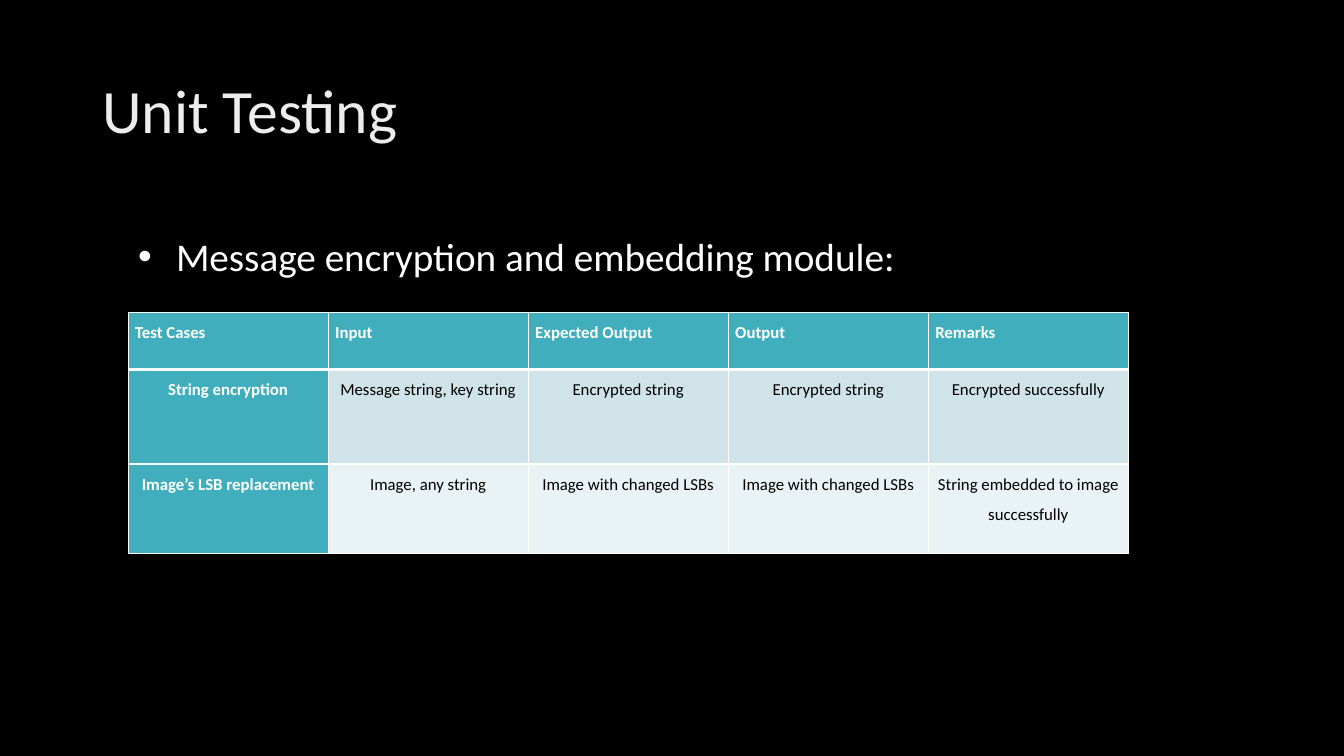
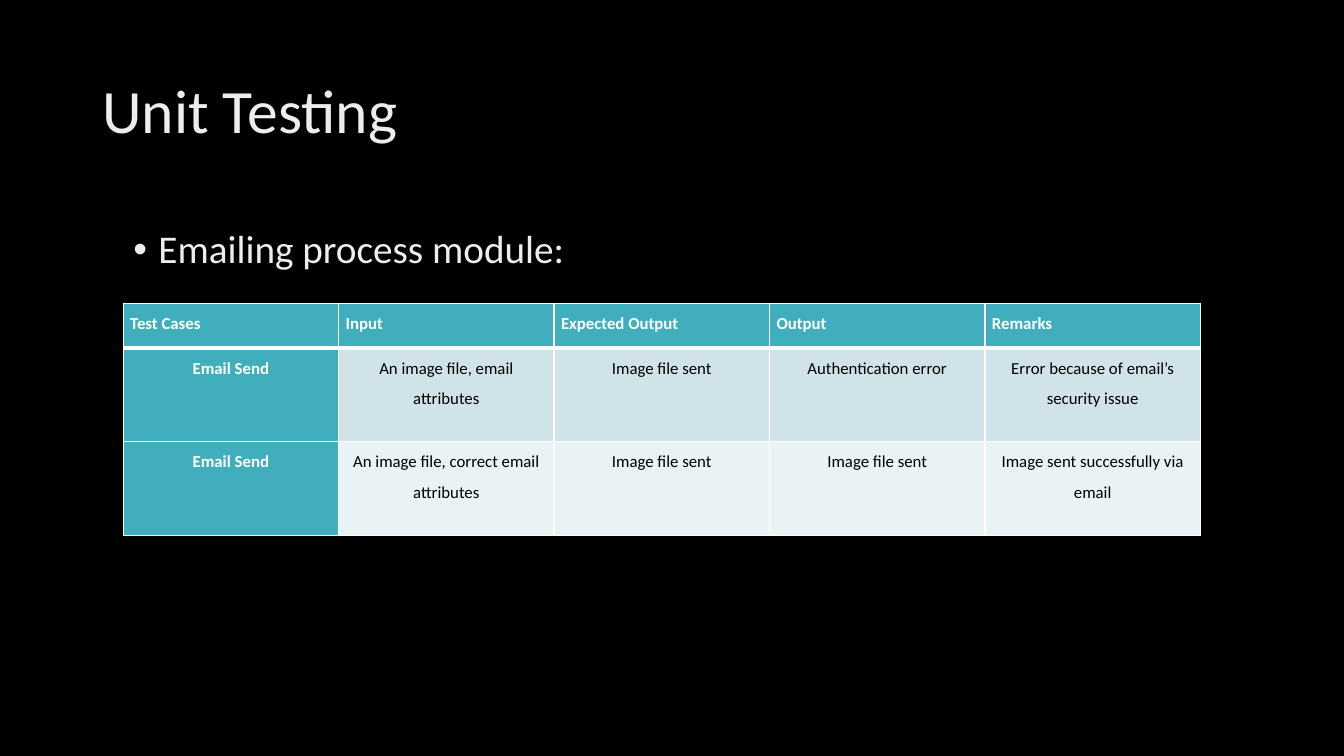
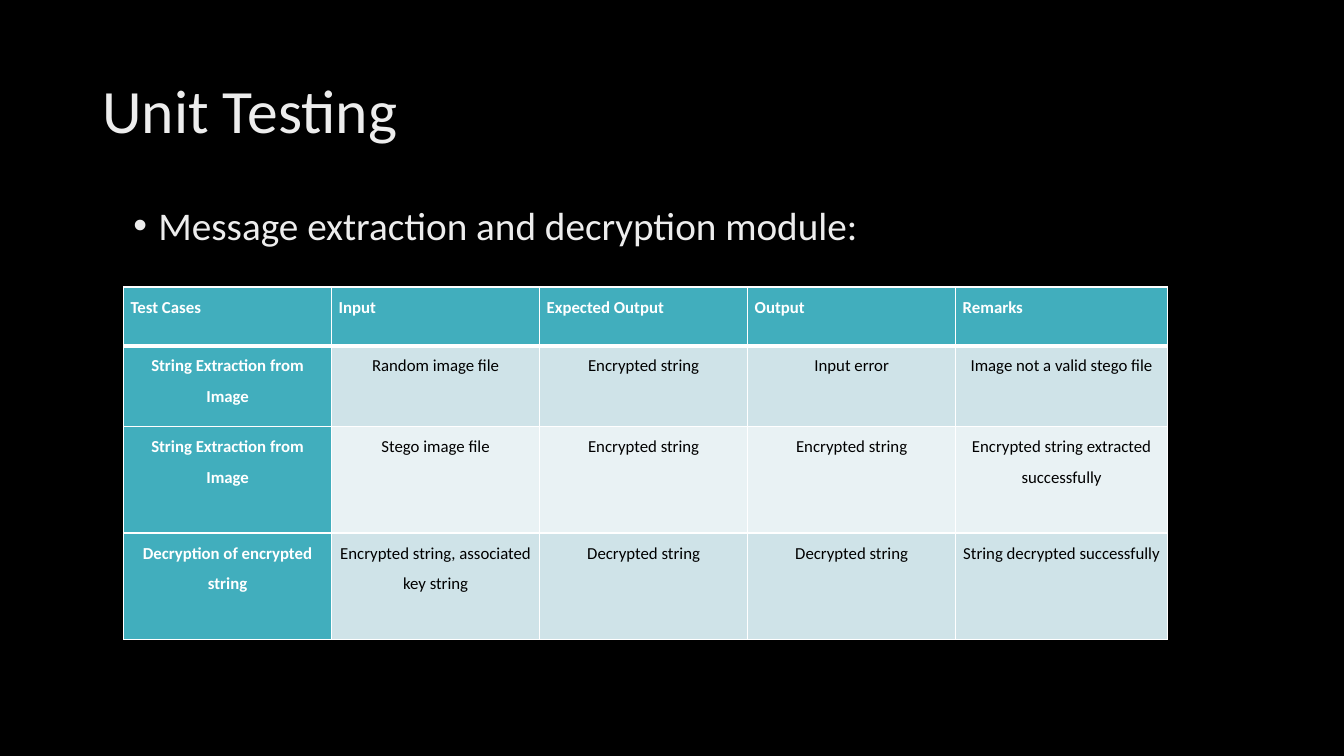
"""Build three unit testing slides, each with a module heading and a results table."""

from dataclasses import dataclass

from lxml.etree import SubElement
from pptx import Presentation
from pptx.dml.color import RGBColor
from pptx.enum.text import MSO_ANCHOR, MSO_AUTO_SIZE, PP_ALIGN
from pptx.oxml.ns import qn
from pptx.util import Pt


@dataclass(frozen=True)
class Theme:
    font: str = "Calibri"
    background: str = "000000"
    heading: str = "EDEDED"
    white: str = "FFFFFF"
    accent: str = "41AEBD"
    bands: tuple = ("CFE3E8", "E9F2F4")
    cell_text: str = "000000"
    title_size: int = 44
    module_size: int = 28
    table_size: int = 12


theme = Theme()


def style(paragraph, size, color, bold=False):
    paragraph.font.name = theme.font
    paragraph.font.size = Pt(size)
    paragraph.font.bold = bold
    paragraph.font.color.rgb = RGBColor.from_string(color)


def add_border(cell, side, width):
    line = SubElement(cell._tc.get_or_add_tcPr(), qn(f"a:ln{side}"), w=str(Pt(width)))
    fill = SubElement(line, qn("a:solidFill"))
    SubElement(fill, qn("a:srgbClr"), val=theme.white)


headers = ("Test Cases", "Input", "Expected Output", "Output", "Remarks")
modules = [
    {
        "heading": "Message encryption and embedding module:",
        "color": theme.white,
        "box": (91.5, 162.5, 562, 41),
        "indent": 27,
        "line_spacing": 1.0,
        "space_before": 0,
        "table_at": (91.5, 223),
        "columns": [142.9] * 5,
        "rows": [41, 67.5, 64],
        "cases": [
            ("String encryption", "Message string, key string", "Encrypted string",
             "Encrypted string", "Encrypted successfully"),
            ("Image’s LSB replacement", "Image, any string", "Image with changed LSBs",
             "Image with changed LSBs", "String embedded to image successfully"),
        ],
    },
    {
        "heading": "Emailing process module:",
        "color": theme.heading,
        "box": (88, 160.5, 806, 361.5),
        "indent": 18,
        "line_spacing": 0.9,
        "space_before": 10,
        "table_at": (88, 217),
        "columns": [153.9] * 5,
        "rows": [31.5, 67, 67],
        "cases": [
            ("Email Send", "An image file, email attributes", "Image file sent",
             "Authentication error", "Error because of email’s security issue"),
            ("Email Send", "An image file, correct email attributes", "Image file sent",
             "Image file sent", "Image sent successfully via email"),
        ],
    },
    {
        "heading": "Message extraction and decryption module:",
        "color": theme.heading,
        "box": (88, 144, 806, 342.5),
        "indent": 18,
        "line_spacing": 0.9,
        "space_before": 10,
        "table_at": (88.3, 205),
        "columns": [148.6] * 4 + [151.3],
        "rows": [42, 57.5, 76.3, 76.3],
        "cases": [
            ("String Extraction from Image", "Random image file", "Encrypted string",
             "Input error", "Image not a valid stego file"),
            ("String Extraction from Image", "Stego image file", "Encrypted string",
             "Encrypted string", "Encrypted string extracted successfully"),
            ("Decryption of encrypted string", "Encrypted string, associated key string",
             "Decrypted string", "Decrypted string", "String decrypted successfully"),
        ],
    },
]

deck = Presentation()
deck.slide_width, deck.slide_height = Pt(960), Pt(540)
backdrop = deck.slide_master.background.fill
backdrop.solid()
backdrop.fore_color.rgb = RGBColor.from_string(theme.background)

for module in modules:
    slide = deck.slides.add_slide(deck.slide_layouts[1])

    title = slide.shapes.title
    title.left, title.top, title.width, title.height = map(Pt, (66, 28.75, 828, 104.5))
    title.text_frame.text = "Unit Testing"
    title.text_frame.auto_size = MSO_AUTO_SIZE.NONE
    title.text_frame.vertical_anchor = MSO_ANCHOR.MIDDLE
    title_line = title.text_frame.paragraphs[0]
    title_line.alignment = PP_ALIGN.LEFT
    title_line.line_spacing = 0.9
    style(title_line, theme.title_size, theme.heading)

    heading = slide.placeholders[1]
    heading.left, heading.top, heading.width, heading.height = map(Pt, module["box"])
    heading.text_frame.text = module["heading"]
    heading.text_frame.auto_size = MSO_AUTO_SIZE.NONE
    heading_line = heading.text_frame.paragraphs[0]
    heading_line.line_spacing = module["line_spacing"]
    heading_line.space_before = Pt(module["space_before"])
    indent = Pt(module["indent"])
    heading_format = heading_line._p.get_or_add_pPr()
    heading_format.set("marL", str(indent))
    heading_format.set("indent", str(-indent))
    style(heading_line, theme.module_size, module["color"])

    records = [headers, *module["cases"]]
    left, top = module["table_at"]
    results = slide.shapes.add_table(
        len(records), len(headers), Pt(left), Pt(top),
        Pt(sum(module["columns"])), Pt(sum(module["rows"]))).table
    for column, width in zip(results.columns, module["columns"]):
        column.width = Pt(width)
    for row, height in zip(results.rows, module["rows"]):
        row.height = Pt(height)

    for row_index, record in enumerate(records):
        is_header = row_index == 0
        for column_index, wording in enumerate(record):
            cell = results.cell(row_index, column_index)
            emphasized = is_header or column_index == 0
            cell.margin_left = cell.margin_right = Pt(5)
            cell.margin_top = cell.margin_bottom = Pt(0)
            add_border(cell, "L", 1)
            add_border(cell, "R", 1)
            add_border(cell, "T", 3 if row_index == 1 else 1)
            add_border(cell, "B", 3 if is_header else 1)
            cell.fill.solid()
            cell.fill.fore_color.rgb = RGBColor.from_string(
                theme.accent if emphasized else theme.bands[(row_index - 1) % 2])
            cell.text_frame.text = wording
            entry = cell.text_frame.paragraphs[0]
            entry.alignment = PP_ALIGN.JUSTIFY if is_header else PP_ALIGN.CENTER
            entry.line_spacing = 1.5
            entry.space_after = Pt(6)
            style(entry, theme.table_size,
                  theme.white if emphasized else theme.cell_text, emphasized)

deck.save("out.pptx")
